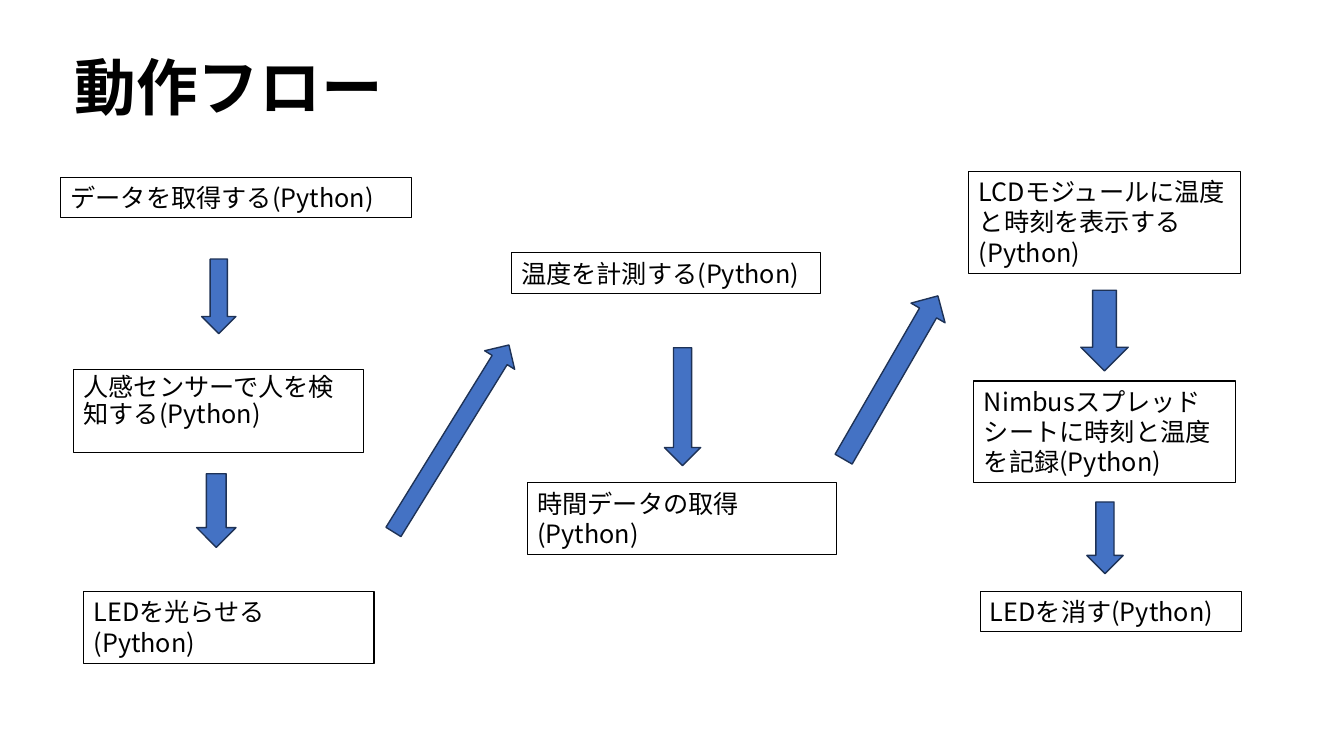
from lxml import etree
from pptx import Presentation
from pptx.dml.color import RGBColor
from pptx.enum.shapes import MSO_SHAPE
from pptx.enum.text import MSO_ANCHOR, MSO_AUTO_SIZE, PP_ALIGN
from pptx.oxml.ns import qn
from pptx.util import Inches, Pt

RECTANGLE, DOWN_ARROW = MSO_SHAPE.RECTANGLE, MSO_SHAPE.DOWN_ARROW
TOP, MIDDLE = MSO_ANCHOR.TOP, MSO_ANCHOR.MIDDLE
LEFT = PP_ALIGN.LEFT
NO_AUTOFIT = MSO_AUTO_SIZE.NONE

FONT = "Noto Sans CJK JP"
COLORS = {"ink": "000000", "arrow": "4472C4", "arrow_edge": "1E3256"}
TITLE_LINE_SPACING = 0.9

# Each column: left and top, then steps (text, x, y, width, height, line spacing)
# and arrows (x, y, width, height), both measured from the column's corner.
COLUMNS = [
    (
        (0.6, 1.76),
        [
            ("データを取得する(Python)", 0, 0, 3.48, 0.4, 1.0),
            ("人感センサーで人を検知する(Python)", 0.13, 1.91, 2.88, 0.82, 0.9),
            ("LEDを光らせる(Python)", 0.23, 4.11, 2.88, 0.71, 1.0),
        ],
        [(1.4, 0.81, 0.34, 0.74), (1.35, 2.94, 0.39, 0.73)],
    ),
    (
        (5.07, 2.51),
        [
            ("温度を計測する(Python)", 0, 0, 3.07, 0.4, 1.0),
            ("時間データの取得(Python)", 0.16, 2.28, 3.07, 0.71, 1.0),
        ],
        [(1.52, 0.94, 0.36, 1.17)],
    ),
    (
        (9.61, 1.7),
        [
            ("LCDモジュールに温度と時刻を表示する(Python)", 0, 0, 2.69, 1.01, 1.0),
            ("Nimbusスプレッドシートに時刻と温度を記録(Python)", 0.05, 2.08, 2.59, 1.01, 1.0),
            ("LEDを消す(Python)", 0.11, 4.17, 2.59, 0.4, 1.0),
        ],
        [(1.11, 1.18, 0.47, 0.8), (1.17, 3.28, 0.36, 0.71)],
    ),
]
# Arrows leading up to the next column: x, y, width, height, rotation
COLUMN_LINKS = [(4.3, 3.26, 0.35, 2.18, 211.7), (8.64, 2.81, 0.39, 1.87, 210)]


def rgb(name):
    return RGBColor.from_string(COLORS[name])


def write_text(frame, text, size, anchor, line_spacing, bold=False):
    frame.word_wrap = True
    frame.auto_size = NO_AUTOFIT
    frame.vertical_anchor = anchor
    frame.text = text
    paragraph = frame.paragraphs[0]
    paragraph.alignment = LEFT
    paragraph.line_spacing = line_spacing
    font = paragraph.runs[0].font
    font.name, font.size, font.bold = FONT, Pt(size), bold
    font.color.rgb = rgb("ink")
    latin = font._element.find(qn("a:latin"))
    east_asian = etree.Element(qn("a:ea"), typeface=FONT)
    latin.addnext(east_asian)


def add_title(slide, text, x, y, width, height):
    title = slide.shapes.title
    title.left, title.top = Inches(x), Inches(y)
    title.width, title.height = Inches(width), Inches(height)
    write_text(title.text_frame, text, 44, MIDDLE, TITLE_LINE_SPACING, bold=True)


def add_step(slide, text, x, y, width, height, line_spacing):
    step = slide.shapes.add_shape(
        RECTANGLE, Inches(x), Inches(y), Inches(width), Inches(height))
    step.shadow.inherit = False
    step.fill.background()
    step.line.color.rgb = rgb("ink")
    step.line.width = Pt(0.75)
    write_text(step.text_frame, text, 18, TOP, line_spacing)


def add_arrow(slide, x, y, width, height, rotation=0):
    arrow = slide.shapes.add_shape(
        DOWN_ARROW, Inches(x), Inches(y), Inches(width), Inches(height))
    arrow.rotation = rotation
    arrow.shadow.inherit = False
    arrow.fill.solid()
    arrow.fill.fore_color.rgb = rgb("arrow")
    arrow.line.color.rgb = rgb("arrow_edge")
    arrow.line.width = Pt(1)


def add_column(slide, corner, steps, arrows):
    left, top = corner
    for text, x, y, width, height, line_spacing in steps:
        add_step(slide, text, left + x, top + y, width, height, line_spacing)
    for x, y, width, height in arrows:
        add_arrow(slide, left + x, top + y, width, height)


def main():
    deck = Presentation()
    deck.slide_width, deck.slide_height = Inches(13.33), Inches(7.5)
    slide = deck.slides.add_slide(deck.slide_layouts.get_by_name("Title Only"))
    add_title(slide, "動作フロー", 0.64, 0.17, 11.5, 1.45)
    for corner, steps, arrows in COLUMNS:
        add_column(slide, corner, steps, arrows)
    for link in COLUMN_LINKS:
        add_arrow(slide, *link)
    deck.save("out.pptx")


if __name__ == "__main__":
    main()
